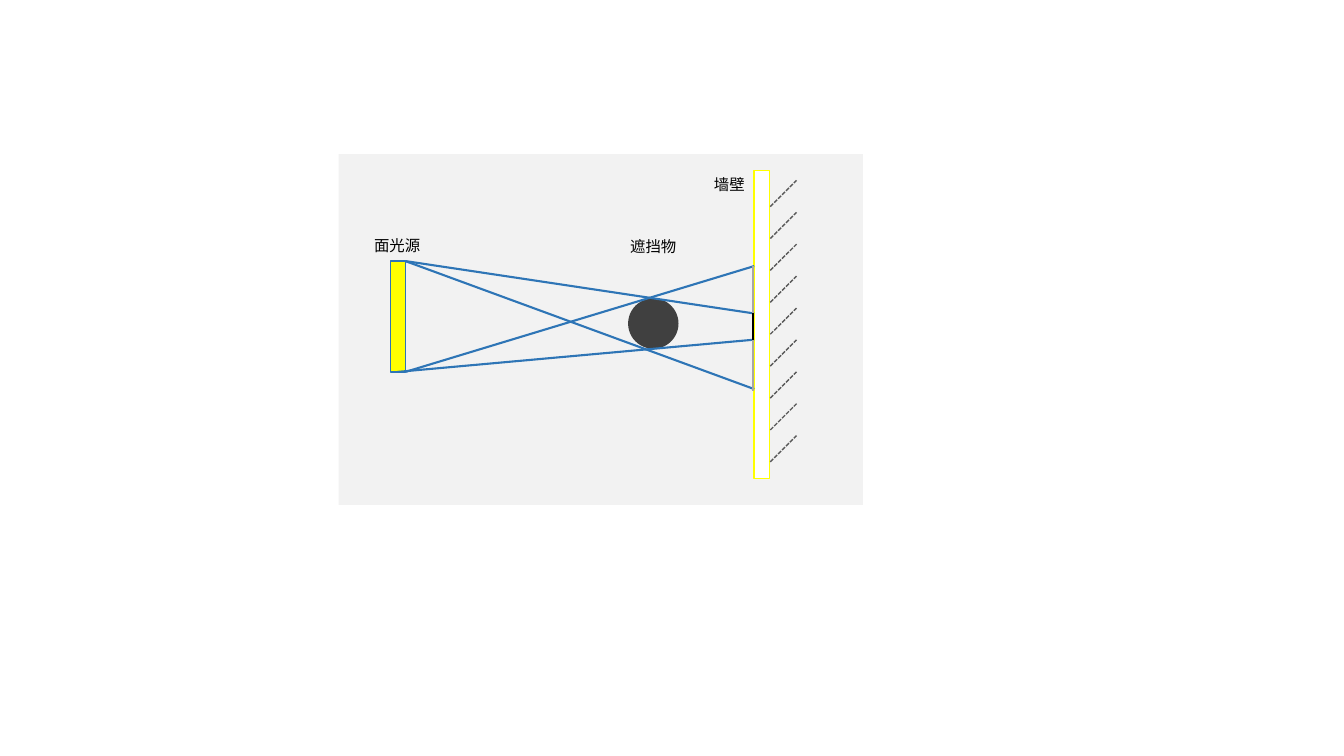
"""Build a slide showing how an area light casts umbra and penumbra."""
from lxml import etree
from pptx import Presentation
from pptx import util as u
from pptx.dml import color
from pptx.enum import dml, shapes, text
from pptx.oxml import ns

FONT = "Noto Sans CJK SC"
BLUE, YELLOW, GREY = "2E75B6", "FFFF00", "A6A6A6"


def paint(part, value):
    """Give a fill or font a solid hex colour."""
    if hasattr(part, "solid"):
        part.solid()
        part.fore_color.rgb = color.RGBColor.from_string(value)
    else:
        part.color.rgb = color.RGBColor.from_string(value)


def block(group, kind, box, fill, line=None):
    """Add a preset shape with a fill and an optional 1 pt outline."""
    shape = group.add_shape(kind, *map(u.Inches, box))
    shape.shadow.inherit = False
    paint(shape.fill, fill)
    if line:
        paint(shape.line.fill, line)
        shape.line.width = u.Pt(1)
    else:
        shape.line.fill.background()


def stroke(group, start, end, hue, width=1.5, dash=None):
    """Add a straight line between two points."""
    line = group.add_connector(shapes.MSO_CONNECTOR.STRAIGHT,
                               *map(u.Inches, (*start, *end)))
    paint(line.line.fill, hue)
    line.line.width = u.Pt(width)
    if dash:
        line.line.dash_style = dash
    etree.SubElement(line._element.spPr, ns.qn("a:effectLst"))


def label(group, words, box, size=11, hue="000000", font=FONT):
    """Add a centred one-line caption."""
    frame = group.add_textbox(*map(u.Inches, box)).text_frame
    frame.word_wrap = False
    frame.auto_size = text.MSO_AUTO_SIZE.SHAPE_TO_FIT_TEXT
    para = frame.paragraphs[0]
    para.alignment = text.PP_ALIGN.CENTER
    run = para.add_run()
    run.text = words
    run.font.size = u.Pt(size)
    run.font.name = font
    paint(run.font, hue)
    east = etree.SubElement(run._r.get_or_add_rPr(), ns.qn("a:ea"))
    east.set("typeface", font)


def draw_wall(group, left, top, width, height):
    """Draw the wall and the evenly spaced hatching behind it."""
    block(group, shapes.MSO_SHAPE.RECTANGLE, (left, top, width, height),
          "FFFFFF", YELLOW)
    edge, reach, step = left + width + 0.01, 0.26, 0.3165
    for row in range(9):
        low = top + 0.36 + row * step
        stroke(group, (edge, low), (edge + reach, low - reach), "595959",
               width=1, dash=dml.MSO_LINE.SQUARE_DOT)


def draw_rays(group, left, right, top, base):
    """Draw the rays that graze the ball and the shadows on the wall."""
    outer, inner = top + 0.05, top + 0.52
    lower, last = top + 0.78, top + 1.27
    rays = [((left, top), (right, inner)),
            ((left, base), (right, outer)),
            ((left, top), (right, last)),
            ((left - 0.08, base), (right, lower))]
    for start, end in rays:
        stroke(group, start, end, BLUE)
    face = right - 0.01
    shades = [(inner, lower, "000000"), (lower, last + 0.02, GREY),
              (outer, inner, GREY)]
    for high, low, hue in shades:
        stroke(group, (face, high), (face, low), hue)


def draw_scene(slide, left, top, width, height):
    """Draw the light, ball, wall and labels inside a grey panel."""
    group = slide.shapes
    rect = shapes.MSO_SHAPE.RECTANGLE
    block(group, rect, (left, top, width, height), "F2F2F2")
    lamp, high, thick, tall = left + 0.51, top + 1.06, 0.15, 1.1
    wall = left + 4.12
    block(group, rect, (lamp, high, thick, tall), YELLOW, BLUE)
    draw_wall(group, wall, top + 0.16, thick, 3.06)
    block(group, shapes.MSO_SHAPE.OVAL,
          (left + 2.87, top + 1.43, 0.5, 0.5), "404040")
    draw_rays(group, lamp + thick, wall, high, high + tall)
    for words, across, down, wide in [("面光源", 0.25, 0.76, 0.66),
                                      ("遮挡物", 2.79, 0.77, 0.66),
                                      ("墙壁", 3.62, 0.16, 0.51)]:
        label(group, words, (left + across, top + down, wide, 0.29))


def main():
    """Build and save the slide."""
    deck = Presentation()
    deck.slide_width, deck.slide_height = u.Inches(13.33), u.Inches(7.5)
    slide = deck.slides.add_slide(deck.slide_layouts[6])
    paint(slide.background.fill, "FFFFFF")
    draw_scene(slide, 3.36, 1.53, 5.2, 3.48)
    deck.save("out.pptx")


main()
